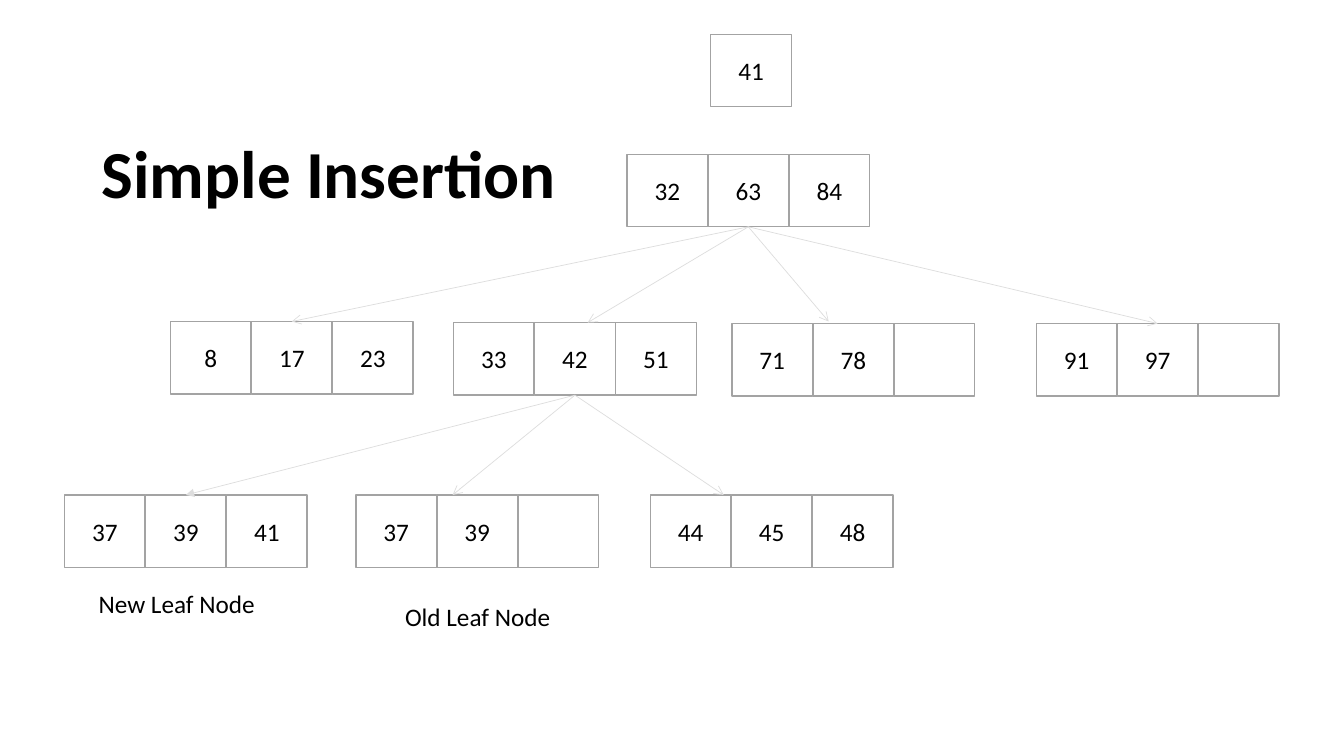
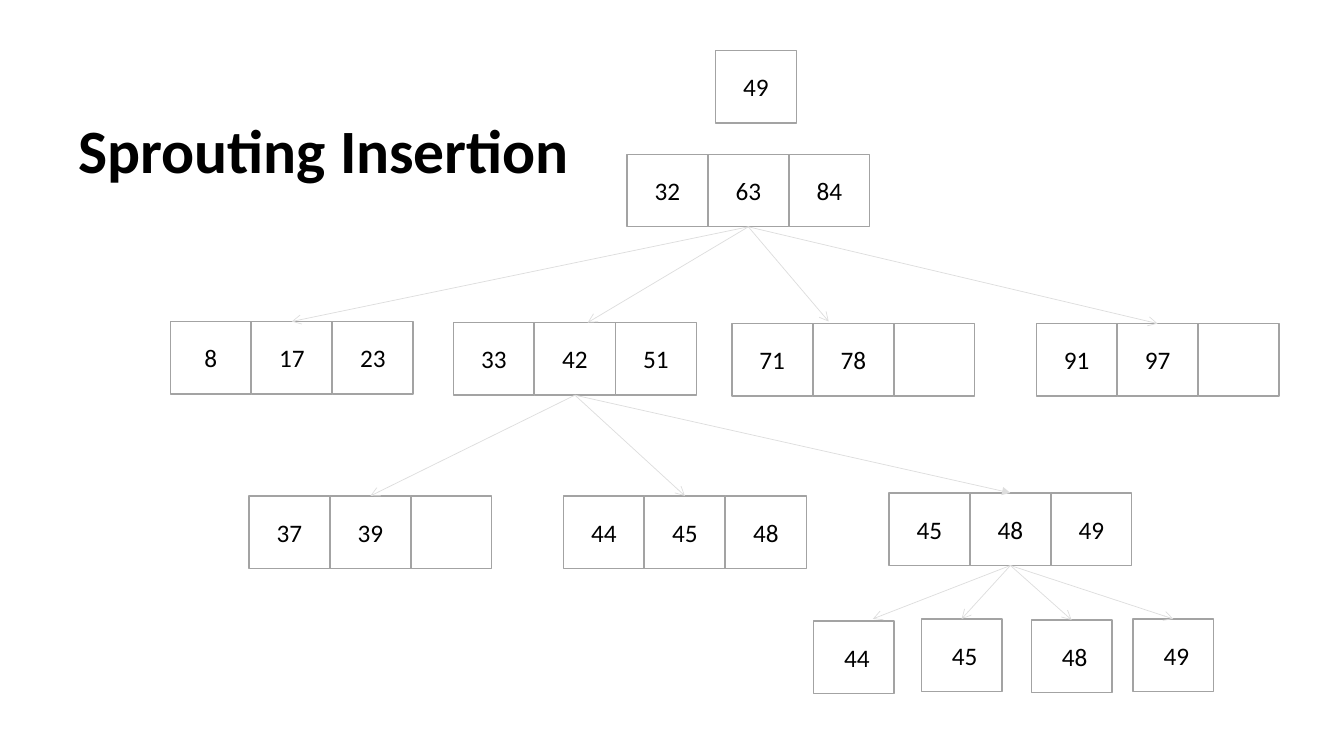
from dataclasses import dataclass
from lxml.etree import SubElement
from pptx import Presentation
from pptx.dml.color import RGBColor
from pptx.enum.shapes import MSO_CONNECTOR as Connector, MSO_SHAPE as Preset
from pptx.enum.text import MSO_ANCHOR as Anchor, MSO_AUTO_SIZE as AutoSize, PP_ALIGN as Align
from pptx.oxml.ns import qn
from pptx.util import Inches, Pt


@dataclass(frozen=True)
class Theme:
    font: str = "Calibri"
    ink: str = "000000"
    border: str = "A3A3A3"
    arrow: str = "DDDDDD"
    body: int = 18
    border_width: float = 1
    arrow_width: float = 0.5


THEME = Theme()
WIDTH, HEIGHT = Inches(13.33), Inches(7.5)
CELL_WIDTH, CELL_HEIGHT, CELL_PITCH = 6, 9.6, 6.03
TOP_SITE, BOTTOM_SITE = 0, 2

UPPER_NODES = {
    "root": (46.65, 20.4, ["32", "63", "84"]),
    "first": (12.68, 42.53, ["8", "17", "23"]),
    "second": (33.75, 42.67, ["33", "42", "51"]),
    "third": (54.46, 42.8, ["71", "78", ""]),
    "fourth": (77.1, 42.8, ["91", "97", ""]),
}
UPPER_ARROWS = [
    ("root", "first", {}),
    ("root", "second", {"shift": (0.95, 0)}),
    ("root", "third", {"shift": (-1.83, -0.27)}),
    ("root", "fourth", {}),
]

SLIDES = [
    {
        "title": ("Simple Insertion", 48, (6.83, 16.67, 37.2, 12.13)),
        "nodes": {
            "key": (52.88, 4.53, ["41"]),
            "new": (4.8, 65.47, ["37", "39", "41"]),
            "old": (26.48, 65.47, ["37", "39", ""]),
            "right": (48.38, 65.47, ["44", "45", "48"]),
        },
        "arrows": [
            ("second", "old", {"shift": (-1.83, 0)}),
            ("second", "right", {"shift": (-3.56, 0)}),
            ("second", "new", {"head": "triangle"}),
        ],
        "labels": [
            ("Old Leaf Node", (29.4, 78.93, 12.45, 5.33)),
            ("New Leaf Node", (6.6, 77.2, 13.28, 5.33)),
        ],
    },
    {
        "title": ("Sprouting Insertion", 44, (5.1, 14.13, 39.9, 11.2)),
        "nodes": {
            "key": (53.25, 6.67, ["49"]),
            "left": (18.53, 65.6, ["37", "39", ""]),
            "middle": (41.93, 65.6, ["44", "45", "48"]),
            "sprout": (66.15, 65.2, ["45", "48", "49"]),
            "leaf 44": (60.53, 82.13, ["44"]),
            "leaf 45": (68.55, 81.87, ["45"]),
            "leaf 48": (76.73, 82, ["48"]),
            "leaf 49": (84.3, 81.87, ["49"]),
        },
        "arrows": [
            ("second", "left", {}),
            ("second", "middle", {}),
            ("sprout", "leaf 44", {"shift": (1.42, -0.27)}),
            ("sprout", "leaf 45", {}),
            ("sprout", "leaf 48", {}),
            ("sprout", "leaf 49", {}),
            ("second", "sprout", {"head": "triangle"}),
        ],
        "labels": [],
    },
]


def across(share):
    return round(WIDTH * share / 100)


def down(share):
    return round(HEIGHT * share / 100)


def frame(left, top, width, height):
    return across(left), down(top), across(width), down(height)


def write(text_frame, text, size=THEME.body, bold=False, align=Align.LEFT):
    para = text_frame.paragraphs[0]
    para.alignment = align
    span = para.add_run()
    span.text = text
    span.font.name = THEME.font
    span.font.size = Pt(size)
    span.font.bold = bold
    span.font.color.rgb = RGBColor.from_string(THEME.ink)


def add_label(page, text, place, **style):
    box = page.shapes.add_textbox(*frame(*place))
    box.text_frame.word_wrap = False
    box.text_frame.auto_size = AutoSize.SHAPE_TO_FIT_TEXT
    write(box.text_frame, text, **style)


def add_cell(shapes, text, left, top, nudge):
    cell = shapes.add_shape(Preset.RECTANGLE, *frame(left, top, CELL_WIDTH, CELL_HEIGHT))
    cell.shadow.inherit = False
    cell.fill.background()
    cell.line.color.rgb = RGBColor.from_string(THEME.border)
    cell.line.width = Pt(THEME.border_width)
    if text:
        cell.text_frame.vertical_anchor = Anchor.MIDDLE
        cell.text_frame.margin_left = Inches(0.1 + nudge)
        write(cell.text_frame, text, align=Align.CENTER)
    return cell


def add_node(page, name, left, top, values):
    shapes = page.shapes.add_group_shape().shapes if len(values) > 1 else page.shapes
    nudge = 0.06 if name.startswith("leaf") else 0
    cells = [add_cell(shapes, value, left + index * CELL_PITCH, top, nudge)
             for index, value in enumerate(values)]
    return cells[len(cells) // 2]


def add_arrow(page, parent, child, shift=(0, 0), head="arrow"):
    end = (child.left + child.width // 2 + across(shift[0]), child.top + down(shift[1]))
    line = page.shapes.add_connector(Connector.STRAIGHT, 0, 0, *end)
    line.begin_connect(parent, BOTTOM_SITE)
    if shift == (0, 0):
        line.end_connect(child, TOP_SITE)
    line.line.color.rgb = RGBColor.from_string(THEME.arrow)
    line.line.width = Pt(THEME.arrow_width)
    SubElement(line.line._get_or_add_ln(), qn("a:tailEnd"), type=head)
    SubElement(line._element.spPr, qn("a:effectLst"))


def build_slide(deck, content):
    page = deck.slides.add_slide(deck.slide_layouts[6])
    title, size, place = content["title"]
    add_label(page, title, place, size=size, bold=True)
    nodes = {**UPPER_NODES, **content["nodes"]}
    middles = {name: add_node(page, name, *node) for name, node in nodes.items()}
    for parent, child, style in UPPER_ARROWS + content["arrows"]:
        add_arrow(page, middles[parent], middles[child], **style)
    for text, place in content["labels"]:
        add_label(page, text, place)


def main():
    deck = Presentation()
    deck.slide_width, deck.slide_height = WIDTH, HEIGHT
    for content in SLIDES:
        build_slide(deck, content)
    deck.save("out.pptx")


if __name__ == "__main__":
    main()
